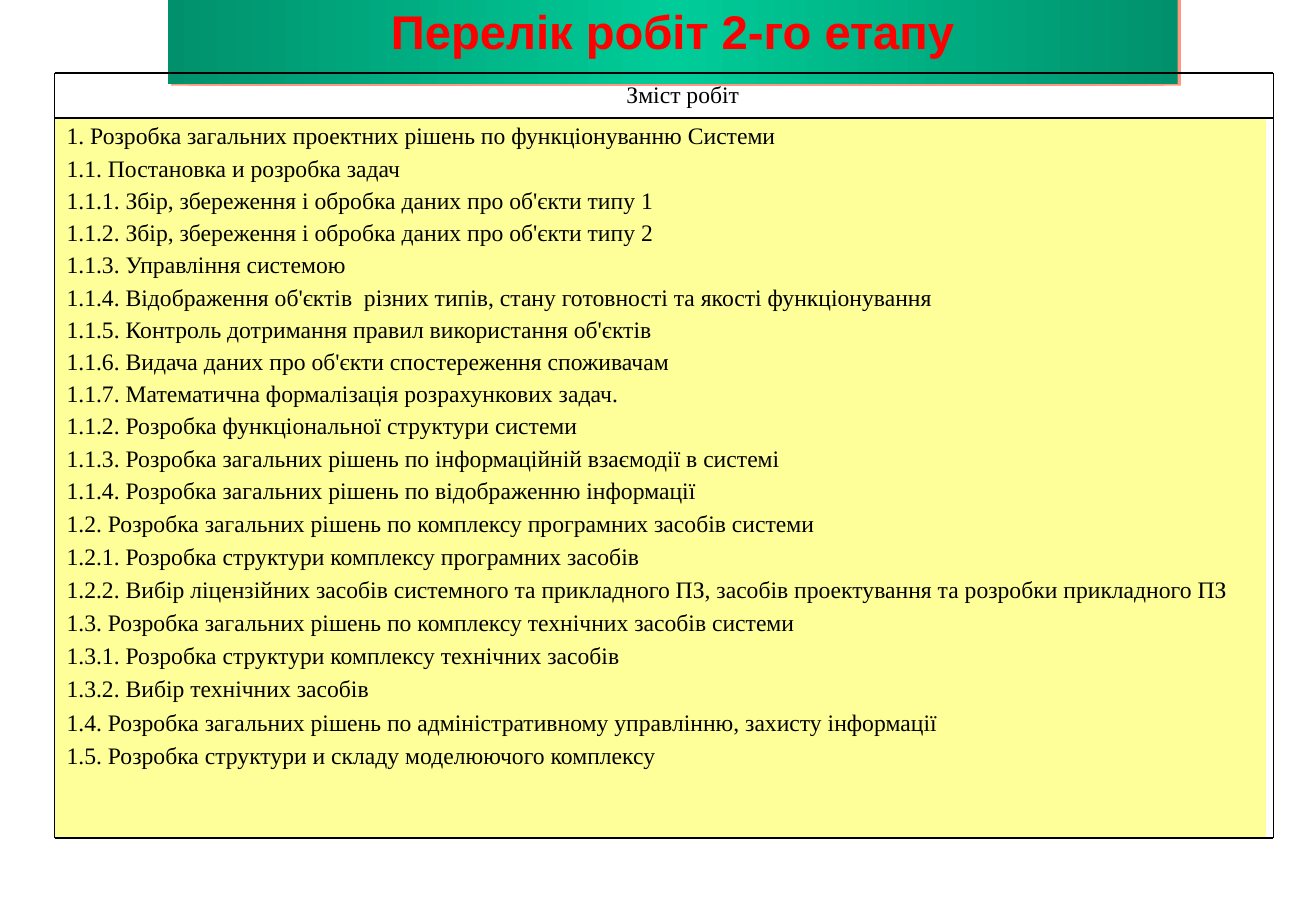
from dataclasses import dataclass
from typing import Any

from pptx import Presentation
from pptx.dml.color import RGBColor
from pptx.enum.shapes import MSO_CONNECTOR as Connector, MSO_SHAPE as Shape
from pptx.enum.text import MSO_ANCHOR as Anchor, MSO_AUTO_SIZE as AutoSize, PP_ALIGN as Align
from pptx.oxml import parse_xml
from pptx.oxml.ns import nsdecls
from pptx.util import Emu, Pt

EMU_PER_PX = 9144
TITLE_ONLY = 5


@dataclass(frozen=True)
class Theme:
    title_font: str = "Arial"
    body_font: str = "Times New Roman"
    title_size: int = 28
    body_size: int = 14
    line_spacing: float = 0.93
    title_text: str = "FF0000"
    text: str = "000000"
    rule: str = "000000"
    rule_width: int = 1
    list_fill: str = "FFFF99"
    banner_edge: str = "00916C"
    banner_middle: str = "00CC99"
    banner_shadow: str = "FF3300"


@dataclass(frozen=True)
class Box:
    left: int
    top: int
    width: int
    height: int


@dataclass(frozen=True)
class Rule:
    x1: int
    y1: int
    x2: int
    y2: int


@dataclass(frozen=True)
class WorkGroup:
    space_before: float
    works: tuple[str, ...]


THEME = Theme()
LEFT, RIGHT = 45, 1049
TOP, HEADER_BOTTOM, BOTTOM = 60, 97, 690

BANNER = Box(138, 1, 832, 53)
HEADER = Box(215, TOP, 695, HEADER_BOTTOM - TOP)
WORK_LIST = Box(LEFT, HEADER_BOTTOM, 998, BOTTOM - HEADER_BOTTOM)
RULES = (
    *(Rule(LEFT, y, RIGHT, y) for y in (TOP, HEADER_BOTTOM, BOTTOM)),
    *(Rule(x, TOP, x, BOTTOM) for x in (LEFT, RIGHT)),
)
WORK_GROUPS = (
    WorkGroup(3.5, (
        "1. Розробка загальних проектних рішень по функціонуванню Системи",
        "1.1. Постановка и розробка задач",
        "1.1.1. Збір, збереження і обробка даних про об'єкти типу 1",
        "1.1.2. Збір, збереження і обробка даних про об'єкти типу 2",
        "1.1.3. Управління системою",
        "1.1.4. Відображення об'єктів  різних типів, стану готовності та якості функціонування",
        "1.1.5. Контроль дотримання правил використання об'єктів",
        "1.1.6. Видача даних про об'єкти спостереження споживачам",
        "1.1.7. Математична формалізація розрахункових задач.",
        "1.1.2. Розробка функціональної структури системи",
        "1.1.3. Розробка загальних рішень по інформаційній взаємодії в системі",
        "1.1.4. Розробка загальних рішень по відображенню інформації",
    )),
    WorkGroup(4, (
        "1.2. Розробка загальних рішень по комплексу програмних засобів системи",
        "1.2.1. Розробка структури комплексу програмних засобів",
        "1.2.2. Вибір ліцензійних засобів системного та прикладного ПЗ, "
        "засобів проектування та розробки прикладного ПЗ",
        "1.3. Розробка загальних рішень по комплексу технічних засобів системи",
        "1.3.1. Розробка структури комплексу технічних засобів",
        "1.3.2. Вибір технічних засобів",
        "1.4. Розробка загальних рішень по адміністративному управлінню, захисту інформації",
        "1.5. Розробка структури и складу моделюючого комплексу",
    )),
)


def px(length: int) -> Emu:
    return Emu(length * EMU_PER_PX)


def place(box: Box) -> tuple[Emu, Emu, Emu, Emu]:
    return px(box.left), px(box.top), px(box.width), px(box.height)


def set_attributes(target: Any, values: dict[str, Any]) -> None:
    for name, value in values.items():
        setattr(target, name, value)


def write(paragraph: Any, text: str, align: Align, space_before: float = 0,
          font: str = THEME.body_font, size: int = THEME.body_size,
          color: str = THEME.text, bold: bool = False) -> None:
    set_attributes(paragraph, {
        "alignment": align,
        "line_spacing": THEME.line_spacing,
        "space_before": Pt(space_before),
    })
    run = paragraph.add_run()
    run.text = text
    set_attributes(run.font, {"name": font, "size": Pt(size), "bold": bold})
    run.font.color.rgb = RGBColor.from_string(color)


def draw_title(slide: Any) -> None:
    title = slide.shapes.title
    set_attributes(title, dict(zip(("left", "top", "width", "height"), place(BANNER))))
    stops = ((0, THEME.banner_edge), (50, THEME.banner_middle), (100, THEME.banner_edge))
    stops_xml = "".join(
        f'<a:gs pos="{percent * 1000}"><a:srgbClr val="{color}"/></a:gs>'
        for percent, color in stops
    )
    properties = title.element.spPr
    properties.append(parse_xml(
        f'<a:gradFill {nsdecls("a")} rotWithShape="1"><a:gsLst>{stops_xml}</a:gsLst>'
        '<a:lin ang="10800000" scaled="0"/></a:gradFill>'
    ))
    properties.append(parse_xml(
        f'<a:effectLst {nsdecls("a")}>'
        f'<a:outerShdw blurRad="0" dist="{Pt(2.2)}" dir="{26 * 60000}" algn="ctr">'
        f'<a:srgbClr val="{THEME.banner_shadow}"><a:alpha val="50000"/></a:srgbClr>'
        '</a:outerShdw></a:effectLst>'
    ))
    frame = title.text_frame
    set_attributes(frame, {
        "word_wrap": True,
        "vertical_anchor": Anchor.MIDDLE,
        "auto_size": AutoSize.SHAPE_TO_FIT_TEXT,
    })
    write(frame.paragraphs[0], "Перелік робіт 2-го етапу", Align.CENTER,
          font=THEME.title_font, size=THEME.title_size, color=THEME.title_text, bold=True)


def draw_work_list(slide: Any) -> None:
    panel = slide.shapes.add_shape(Shape.RECTANGLE, *place(WORK_LIST))
    panel.shadow.inherit = False
    panel.fill.solid()
    panel.fill.fore_color.rgb = RGBColor.from_string(THEME.list_fill)
    panel.line.fill.background()
    frame = panel.text_frame
    set_attributes(frame, {"word_wrap": True, "vertical_anchor": Anchor.TOP})
    entries = [(work, group.space_before) for group in WORK_GROUPS for work in group.works]
    for index, (work, space_before) in enumerate(entries):
        paragraph = frame.add_paragraph() if index else frame.paragraphs[0]
        write(paragraph, work, Align.LEFT, space_before)


def draw_header(slide: Any) -> None:
    frame = slide.shapes.add_textbox(*place(HEADER)).text_frame
    set_attributes(frame, {"word_wrap": True, "vertical_anchor": Anchor.MIDDLE})
    write(frame.paragraphs[0], "Зміст робіт", Align.CENTER)


def draw_rule(slide: Any, rule: Rule) -> None:
    line = slide.shapes.add_connector(
        Connector.STRAIGHT, px(rule.x1), px(rule.y1), px(rule.x2), px(rule.y2))
    line.line.color.rgb = RGBColor.from_string(THEME.rule)
    line.line.width = Pt(THEME.rule_width)
    line.element.spPr.append(parse_xml(f'<a:effectLst {nsdecls("a")}/>'))


def main() -> None:
    deck = Presentation()
    set_attributes(deck, {"slide_width": px(1084), "slide_height": px(750)})
    slide = deck.slides.add_slide(deck.slide_layouts[TITLE_ONLY])
    draw_title(slide)
    draw_work_list(slide)
    draw_header(slide)
    for rule in RULES:
        draw_rule(slide, rule)
    deck.save("out.pptx")


if __name__ == "__main__":
    main()
